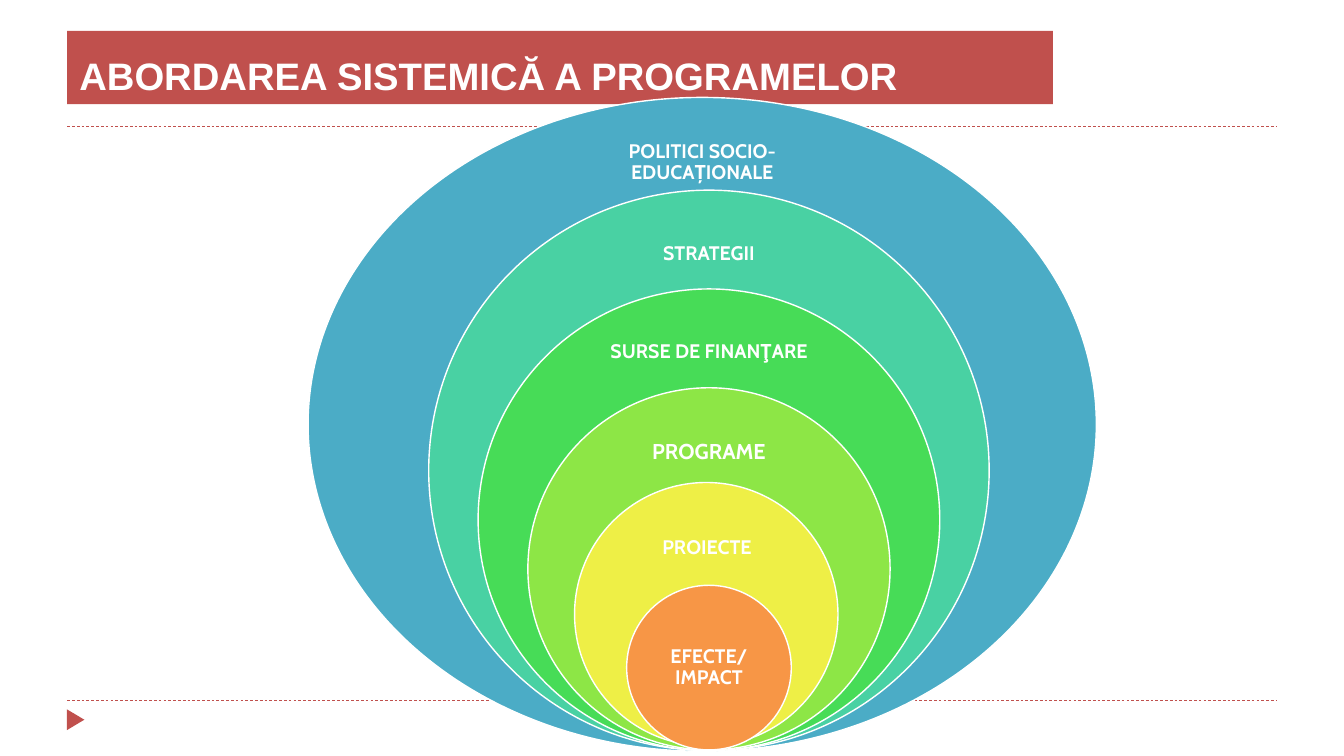
from lxml import etree
from pptx import Presentation
from pptx.dml.color import RGBColor
from pptx.enum import dml, shapes, text
from pptx.oxml import ns
from pptx.util import Inches, Pt

RED = RGBColor(0xC0, 0x50, 0x4D)
WHITE = RGBColor(0xFF, 0xFF, 0xFF)
BLUE = RGBColor(0x4B, 0xAC, 0xC6)
TEAL = RGBColor(0x49, 0xD1, 0xA3)
GREEN = RGBColor(0x47, 0xDC, 0x57)
LIME = RGBColor(0x8D, 0xE6, 0x46)
YELLOW = RGBColor(0xEE, 0xEF, 0x46)
ORANGE = RGBColor(0xF7, 0x96, 0x46)

TITLE = "ABORDAREA SISTEMICĂ A PROGRAMELOR"
RULE_HEIGHTS = [10.42, 1.88]
CENTER = 10.55

# label, colour, ellipse (center, top, width, height), label (center, drop, width, height), size
LEVELS = [
    ("POLITICI SOCIO-EDUCAȚIONALE", BLUE, (10.45, 1.45, 11.73, 9.73), (10.45, 0.49, 4.4, 0.97), 21),
    ("STRATEGII", TEAL, (CENTER, 2.83, 8.34, 8.34), (CENTER, 0.48, 3.6, 0.96), 21),
    ("SURSE DE FINANŢARE", GREEN, (CENTER, 4.3, 6.87, 6.87), (CENTER, 0.47, 3.55, 0.95), 21),
    ("PROGRAME", LIME, (CENTER, 5.77, 5.39, 5.39), (CENTER, 0.48, 2.91, 0.97), 23),
    ("PROIECTE", YELLOW, (10.51, 7.18, 3.92, 3.92), (10.52, 0.49, 2.55, 0.98), 21),
    ("EFECTE/ IMPACT", ORANGE, (CENTER, 8.71, 2.45, 2.45), (CENTER, 0.61, 1.73, 1.23), 21),
]


def add_shape(page, kind, left, top, width, height, color, outline=None):
    shape = page.shapes.add_shape(kind, Inches(left), Inches(top), Inches(width), Inches(height))
    shape.shadow.inherit = False
    shape.fill.solid()
    shape.fill.fore_color.rgb = color
    if outline is None:
        shape.line.fill.background()
    else:
        shape.line.color.rgb = outline
        shape.line.width = Pt(1.5)
    return shape


def write(box, words, font, size, align, anchor, side, edge):
    frame = box.text_frame
    frame.text = words
    frame.word_wrap = True
    frame.vertical_anchor = anchor
    frame.margin_left = frame.margin_right = Inches(side)
    frame.margin_top = frame.margin_bottom = Inches(edge)
    para = frame.paragraphs[0]
    para.alignment = align
    span = para.runs[0]
    span.font.name = font
    span.font.size = Pt(size)
    span.font.bold = True
    span.font.color.rgb = WHITE
    return para


def add_rule(page, height):
    rule = page.shapes.add_connector(
        shapes.MSO_CONNECTOR.STRAIGHT, Inches(1), Inches(height), Inches(19), Inches(height))
    rule.line.color.rgb = RED
    rule.line.width = Pt(0.75)
    rule.line.dash_style = dml.MSO_LINE.DASH
    etree.SubElement(rule._element.spPr, ns.qn("a:effectLst"))


def add_level(page, label, color, ellipse, place, size):
    center, top, width, height = ellipse
    add_shape(page, shapes.MSO_SHAPE.OVAL, center - width / 2, top, width, height, color, WHITE)
    middle, drop, box_width, box_height = place
    box = page.shapes.add_textbox(
        Inches(middle - box_width / 2), Inches(top + drop), Inches(box_width), Inches(box_height))
    inset = 0.18 if size > 21 else 0.16
    para = write(box, label, "Cabin", size, text.PP_ALIGN.CENTER,
                 text.MSO_ANCHOR.MIDDLE, inset, inset)
    para.line_spacing = 0.9


def main():
    deck = Presentation()
    deck.slide_width = Inches(20)
    deck.slide_height = Inches(11.25)
    page = deck.slides.add_slide(deck.slide_layouts[6])
    for height in RULE_HEIGHTS:
        add_rule(page, height)
    marker = add_shape(page, shapes.MSO_SHAPE.ISOSCELES_TRIANGLE, 0.97, 10.58, 0.31, 0.26, RED)
    marker.rotation = 90
    banner = add_shape(page, shapes.MSO_SHAPE.RECTANGLE, 1, 0.46, 14.67, 1.09, RED)
    write(banner, TITLE, "Arial", 41, text.PP_ALIGN.LEFT, text.MSO_ANCHOR.BOTTOM, 0.18, 0.09)
    for level in LEVELS:
        add_level(page, *level)
    deck.save("out.pptx")


if __name__ == "__main__":
    main()
